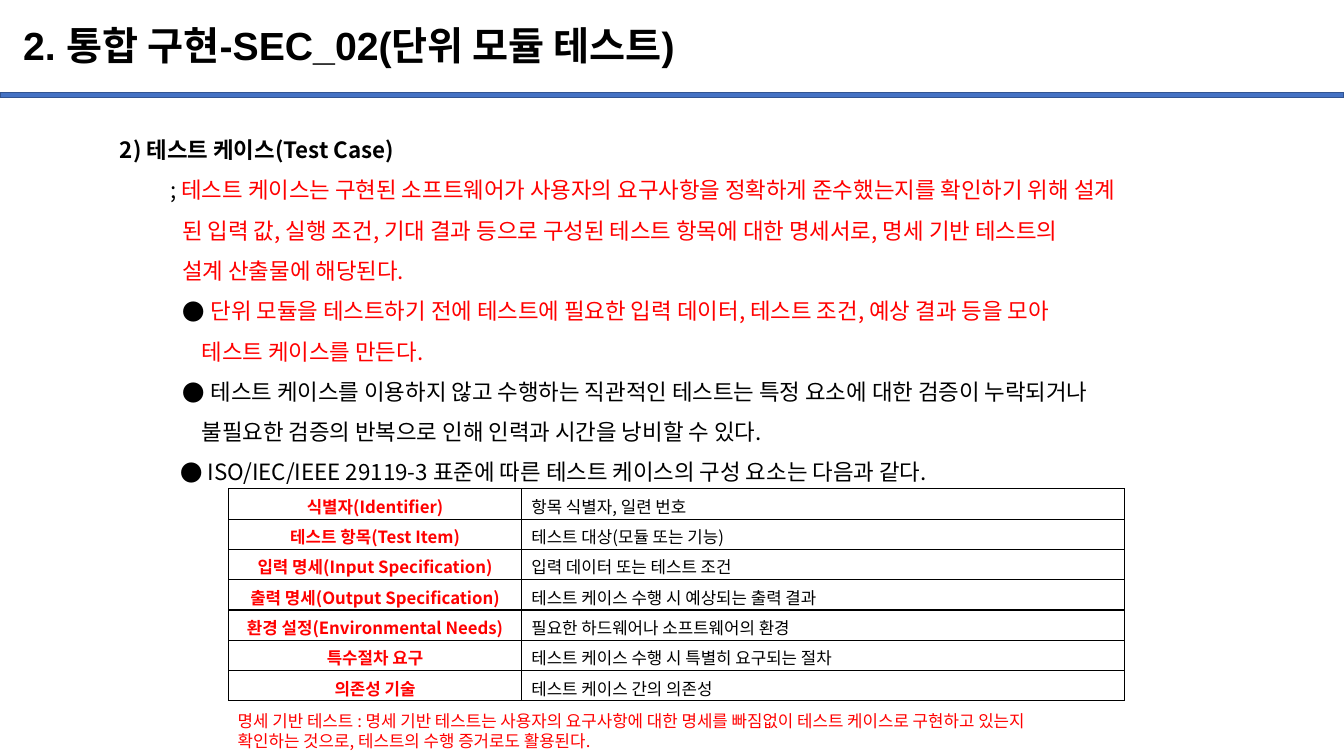
from lxml.etree import SubElement
from pptx import Presentation
from pptx.dml.color import RGBColor
from pptx.enum.shapes import MSO_SHAPE
from pptx.enum.text import MSO_ANCHOR, PP_ALIGN
from pptx.oxml.ns import qn
from pptx.util import Inches, Pt

BLACK = RGBColor(0x00, 0x00, 0x00)
WHITE = RGBColor(0xFF, 0xFF, 0xFF)
RED = RGBColor(0xFF, 0x00, 0x00)
BLUE = RGBColor(0x44, 0x72, 0xC4)
DARK_BLUE = RGBColor(0x32, 0x54, 0x91)

TITLE_FONT = "Arial"
BODY_FONT = "Noto Sans CJK KR"

# Each line: left margin, first-line indent, bullet or None, runs of (text, colour, bold)
BODY_LINES = [
    (0, 0, None, [("2) 테스트 케이스(Test Case)", BLACK, True)]),
    (0.62, -0.12, None, [
        ("; ", BLACK, False),
        ("테스트 케이스는 구현된 소프트웨어가 사용자의 요구사항을 정확하게 준수했는지를 확인하기 위해 설계", RED, False)]),
    (0.62, 0, None, [
        ("된 입력 값, 실행 조건, 기대 결과 등으로 구성된 테스트 항목에 대한 명세서로, 명세 기반 테스트의", RED, False)]),
    (0.62, 0, None, [("설계 산출물에 해당된다.", RED, False)]),
    (0.9, -0.28, "●", [
        ("단위 모듈을 테스트하기 전에 테스트에 필요한 입력 데이터, 테스트 조건, 예상 결과 등을 모아", RED, False)]),
    (0.81, 0, None, [("테스트 케이스를 만든다.", RED, False)]),
    (0.9, -0.28, "●", [
        ("테스트 케이스를 이용하지 않고 수행하는 직관적인 테스트는 특정 요소에 대한 검증이 누락되거나", BLACK, False)]),
    (0.81, 0, None, [("불필요한 검증의 반복으로 인해 인력과 시간을 낭비할 수 있다.", BLACK, False)]),
    (0.87, -0.27, "●", [
        ("ISO/IEC/IEEE 29119-3 표준에 따른 테스트 케이스의 구성 요소는 다음과 같다.", BLACK, False)]),
]

NOTE_LINES = [
    (0, 0, None, [(text, RED, False)]) for text in (
        "명세 기반 테스트 : 명세 기반 테스트는 사용자의 요구사항에 대한 명세를 빠짐없이 테스트 케이스로 구현하고 있는지",
        "확인하는 것으로, 테스트의 수행 증거로도 활용된다.")
]

TEST_CASE_ITEMS = [
    ("식별자(Identifier)", "항목 식별자, 일련 번호"),
    ("테스트 항목(Test Item)", "테스트 대상(모듈 또는 기능)"),
    ("입력 명세(Input Specification)", "입력 데이터 또는 테스트 조건"),
    ("출력 명세(Output Specification)", "테스트 케이스 수행 시 예상되는 출력 결과"),
    ("환경 설정(Environmental Needs)", "필요한 하드웨어나 소프트웨어의 환경"),
    ("특수절차 요구", "테스트 케이스 수행 시 특별히 요구되는 절차"),
    ("의존성 기술", "테스트 케이스 간의 의존성"),
]


class SlideBuilder:
    def __init__(self, slide):
        self.slide = slide

    def add_span(self, para, text, size, color, bold, font=BODY_FONT):
        span = para.add_run()
        span.text = text
        span.font.name = font
        span.font.size = Pt(size)
        span.font.bold = bold
        span.font.color.rgb = color
        east_asian = SubElement(span.font._element, qn("a:ea"))
        east_asian.set("typeface", BODY_FONT)

    def set_indent(self, para, margin, indent, bullet):
        properties = para._p.get_or_add_pPr()
        properties.set("marL", str(Inches(margin)))
        properties.set("indent", str(Inches(indent)))
        if bullet:
            color = SubElement(SubElement(properties, qn("a:buClr")), qn("a:srgbClr"))
            color.set("val", str(BLACK))
            SubElement(properties, qn("a:buFont")).set("typeface", BODY_FONT)
            SubElement(properties, qn("a:buChar")).set("char", bullet)

    def title(self, text, left, top, width, height):
        box = self.slide.shapes.title
        box.left, box.top = Inches(left), Inches(top)
        box.width, box.height = Inches(width), Inches(height)
        box.text_frame.vertical_anchor = MSO_ANCHOR.MIDDLE
        para = box.text_frame.paragraphs[0]
        para.alignment = PP_ALIGN.LEFT
        para.line_spacing = 0.9
        self.add_span(para, text, 28, BLACK, True, TITLE_FONT)

    def bar(self, left, top, width, height):
        bar = self.slide.shapes.add_shape(
            MSO_SHAPE.RECTANGLE, Inches(left), Inches(top), Inches(width), Inches(height))
        bar.shadow.inherit = False
        bar.fill.solid()
        bar.fill.fore_color.rgb = BLUE
        bar.line.color.rgb = DARK_BLUE
        bar.line.width = Pt(1)

    def text(self, lines, left, top, width, height, size, line_spacing=1.0):
        box = self.slide.shapes.add_textbox(
            Inches(left), Inches(top), Inches(width), Inches(height))
        frame = box.text_frame
        frame.word_wrap = True
        for index, (margin, indent, bullet, spans) in enumerate(lines):
            para = frame.add_paragraph() if index else frame.paragraphs[0]
            para.line_spacing = line_spacing
            self.set_indent(para, margin, indent, bullet)
            for text, color, bold in spans:
                self.add_span(para, text, size, color, bold)

    def table(self, rows, left, top, column_widths, row_height, size):
        table = self.slide.shapes.add_table(
            len(rows), len(column_widths), Inches(left), Inches(top),
            Inches(sum(column_widths)), Inches(row_height * len(rows))).table
        for column, width in zip(table.columns, column_widths):
            column.width = Inches(width)
        for row_index, texts in enumerate(rows):
            table.rows[row_index].height = Inches(row_height)
            for column_index, text in enumerate(texts):
                heading = column_index == 0
                cell = table.cell(row_index, column_index)
                self.add_borders(cell)
                cell.fill.solid()
                cell.fill.fore_color.rgb = WHITE
                cell.vertical_anchor = MSO_ANCHOR.MIDDLE if heading else MSO_ANCHOR.TOP
                para = cell.text_frame.paragraphs[0]
                para.alignment = PP_ALIGN.CENTER if heading else PP_ALIGN.LEFT
                self.add_span(para, text, size, RED if heading else BLACK, heading)

    def add_borders(self, cell):
        properties = cell._tc.get_or_add_tcPr()
        for side in ("a:lnL", "a:lnR", "a:lnT", "a:lnB"):
            line = SubElement(properties, qn(side), w=str(Pt(1)))
            color = SubElement(SubElement(line, qn("a:solidFill")), qn("a:srgbClr"))
            color.set("val", str(BLACK))


def main():
    deck = Presentation()
    deck.slide_width, deck.slide_height = Inches(13.33), Inches(7.5)
    page = SlideBuilder(deck.slides.add_slide(deck.slide_layouts[5]))

    # Heading
    page.bar(0, 0.92, 13.33, 0.05)
    page.title("2. 통합 구현-SEC_02(단위 모듈 테스트)", 0.13, 0.1, 11.5, 0.74)

    # Explanation of the test case
    page.text(BODY_LINES, 1.09, 1.17, 11.72, 3.74, 16, 1.5)

    # Components of the test case and closing note
    page.table(TEST_CASE_ITEMS, 2.27, 4.85, (2.9, 5.98), 0.3, 12)
    page.text(NOTE_LINES, 2.26, 7, 10, 0.5, 12)

    deck.save("out.pptx")


if __name__ == "__main__":
    main()
